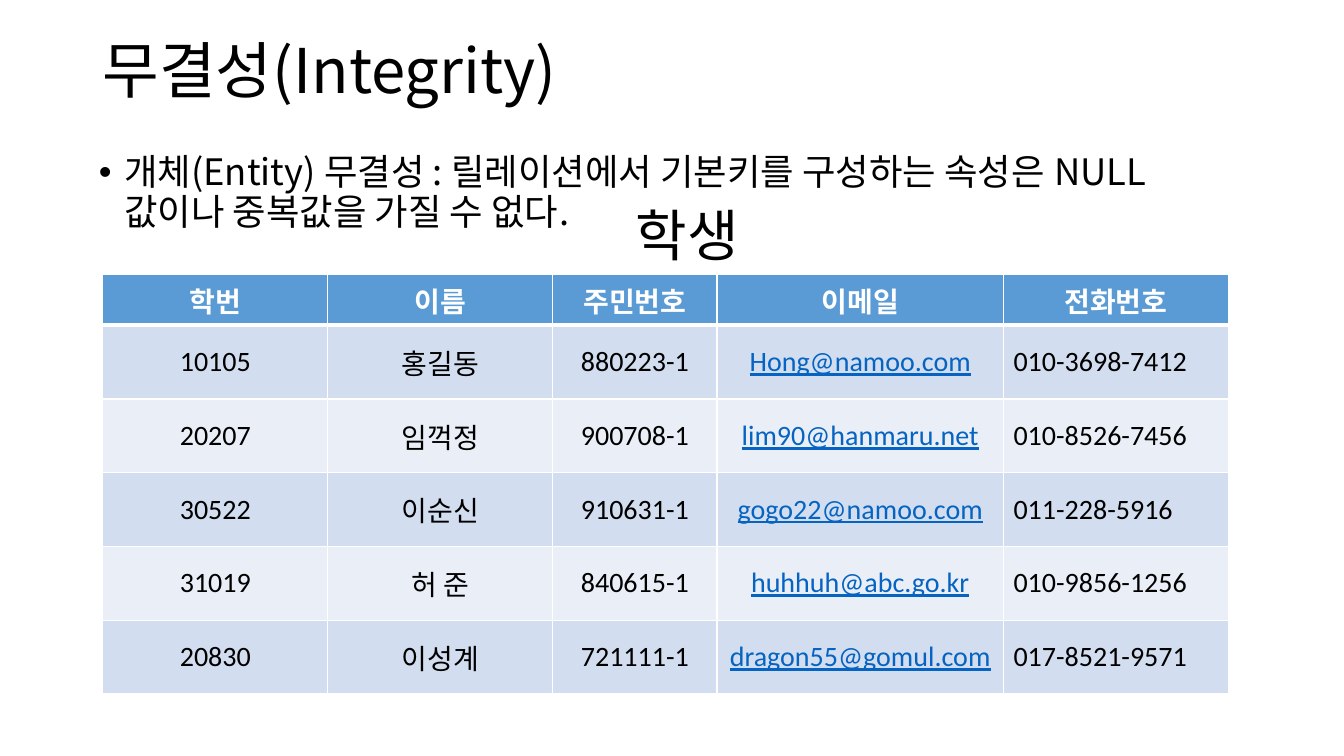
import lxml.etree
import pptx
import pptx.dml.color
import pptx.enum.text
import pptx.oxml.ns
import pptx.util

Pt = pptx.util.Pt
RGB = pptx.dml.color.RGBColor
ALIGN = pptx.enum.text.PP_ALIGN
ANCHOR = pptx.enum.text.MSO_ANCHOR
AUTO_SIZE = pptx.enum.text.MSO_AUTO_SIZE
qn = pptx.oxml.ns.qn

BLACK = RGB(0x00, 0x00, 0x00)
WHITE = RGB(0xFF, 0xFF, 0xFF)
HEADER_BLUE = RGB(0x5B, 0x9B, 0xD5)
BAND_DARK = RGB(0xD2, 0xDE, 0xEF)
BAND_LIGHT = RGB(0xEA, 0xEF, 0xF7)
EMAIL_BLUE = RGB(0x05, 0x63, 0xC1)
KOREAN_FONT = "Noto Sans CJK KR"
LATIN_FONT = "Calibri"

COLUMN_WIDTHS = [160.7, 160.7, 117.3, 204.6, 160.7]
HEADER_HEIGHT = 24.5
STUDENT_HEIGHT = 52.7
EMAIL_COLUMN = 3
PHONE_COLUMN = 4
STUDENTS = [
    ["학번", "이름", "주민번호", "이메일", "전화번호"],
    ["10105", "홍길동", "880223-1", "Hong@namoo.com", "010-3698-7412"],
    ["20207", "임꺽정", "900708-1", "lim90@hanmaru.net", "010-8526-7456"],
    ["30522", "이순신", "910631-1", "gogo22@namoo.com", "011-228-5916"],
    ["31019", "허 준", "840615-1", "huhhuh@abc.go.kr", "010-9856-1256"],
    ["20830", "이성계", "721111-1", "dragon55@gomul.com", "017-8521-9571"],
]


def apply_format(target, values):
    """Set each attribute of the target from a dict of format values."""
    for attribute, value in values.items():
        setattr(target, attribute, value)


def place(part, box):
    """Move a part to a box given in points."""
    apply_format(part, dict(zip(("left", "top", "width", "height"), map(Pt, box))))


def write(frame, text, size, color=BLACK, latin=KOREAN_FONT, paragraph_format=None, **font_format):
    """Write one formatted paragraph into a text frame and return it."""
    paragraph = frame.paragraphs[0]
    apply_format(paragraph, paragraph_format or {})
    run = paragraph.add_run()
    run.text = text
    apply_format(run.font, {"name": latin, "size": Pt(size), **font_format})
    run.font.color.rgb = color
    east_asian = lxml.etree.Element(qn("a:ea"), typeface=KOREAN_FONT)
    run.font._element.find(qn("a:latin")).addnext(east_asian)
    return paragraph


def add_heading(slide, box):
    """Fill the title placeholder."""
    heading = slide.shapes.title
    place(heading, box)
    apply_format(heading.text_frame, {
        "vertical_anchor": ANCHOR.MIDDLE, "auto_size": AUTO_SIZE.NONE, "word_wrap": True})
    write(heading.text_frame, "무결성(Integrity)", 44,
          paragraph_format={"alignment": ALIGN.LEFT, "line_spacing": 0.9})


def add_definition(slide, box):
    """Fill the body placeholder with the bulleted rule."""
    definition = slide.placeholders[1]
    place(definition, box)
    apply_format(definition.text_frame, {
        "vertical_anchor": ANCHOR.TOP, "auto_size": AUTO_SIZE.NONE, "word_wrap": True})
    rule = write(
        definition.text_frame,
        "개체(Entity) 무결성 : 릴레이션에서 기본키를 구성하는 속성은 NULL 값이나 중복값을 가질 수 없다.",
        26, paragraph_format={"line_spacing": 0.9, "space_before": Pt(10)})
    properties = rule._p.get_or_add_pPr()
    properties.set("marL", str(Pt(18)))
    properties.set("indent", str(-Pt(18)))
    lxml.etree.SubElement(properties, qn("a:buFont"), typeface="Arial")
    lxml.etree.SubElement(properties, qn("a:buChar"), char="•")


def add_borders(cell, widths):
    """Draw white borders of the given widths around a cell."""
    properties = cell._tc.get_or_add_tcPr()
    for side, width in widths.items():
        line = lxml.etree.SubElement(properties, qn("a:ln" + side), w=str(Pt(width)))
        fill = lxml.etree.SubElement(line, qn("a:solidFill"))
        lxml.etree.SubElement(fill, qn("a:srgbClr"), val=str(WHITE))


def fill_cell(cell, text, row, column):
    """Write and style one cell by its row and column."""
    header = row == 0
    email = not header and column == EMAIL_COLUMN
    phone = not header and column == PHONE_COLUMN
    add_borders(cell, {"L": 1, "R": 1, "T": 3 if row == 1 else 1, "B": 3 if header else 1})
    cell.fill.solid()
    cell.fill.fore_color.rgb = HEADER_BLUE if header else BAND_DARK if row % 2 else BAND_LIGHT
    cell.vertical_anchor = ANCHOR.TOP if header else ANCHOR.MIDDLE
    write(cell.text_frame, text, 20,
          color=WHITE if header else EMAIL_BLUE if email else BLACK,
          latin=LATIN_FONT,
          paragraph_format={"alignment": ALIGN.LEFT if phone else ALIGN.CENTER},
          bold=header, underline=email)


def add_student_table(slide, box):
    """Add the student relation."""
    students = slide.shapes.add_table(
        len(STUDENTS), len(COLUMN_WIDTHS), *map(Pt, box)).table
    for column, width in zip(students.columns, COLUMN_WIDTHS):
        column.width = Pt(width)
    for row, values in enumerate(STUDENTS):
        students.rows[row].height = Pt(STUDENT_HEIGHT if row else HEADER_HEIGHT)
        for column, text in enumerate(values):
            fill_cell(students.cell(row, column), text, row, column)


def add_relation_name(slide, box):
    """Add the name of the relation above its table."""
    frame = slide.shapes.add_textbox(*map(Pt, box)).text_frame
    apply_format(frame, {"word_wrap": True, "auto_size": AUTO_SIZE.SHAPE_TO_FIT_TEXT})
    write(frame, "학생", 40)


def main():
    """Build and save the slide."""
    deck = pptx.Presentation()
    apply_format(deck, {"slide_width": Pt(960), "slide_height": Pt(540)})
    slide = deck.slides.add_slide(deck.slide_layouts[1])
    add_heading(slide, (66, 0, 828, 104.4))
    add_definition(slide, (63.4, 106.6, 828, 342.6))
    add_student_table(slide, (73.5, 196, sum(COLUMN_WIDTHS), 288))
    add_relation_name(slide, (447, 139.8, 118.8, 55.5))
    deck.save("out.pptx")


if __name__ == "__main__":
    main()
